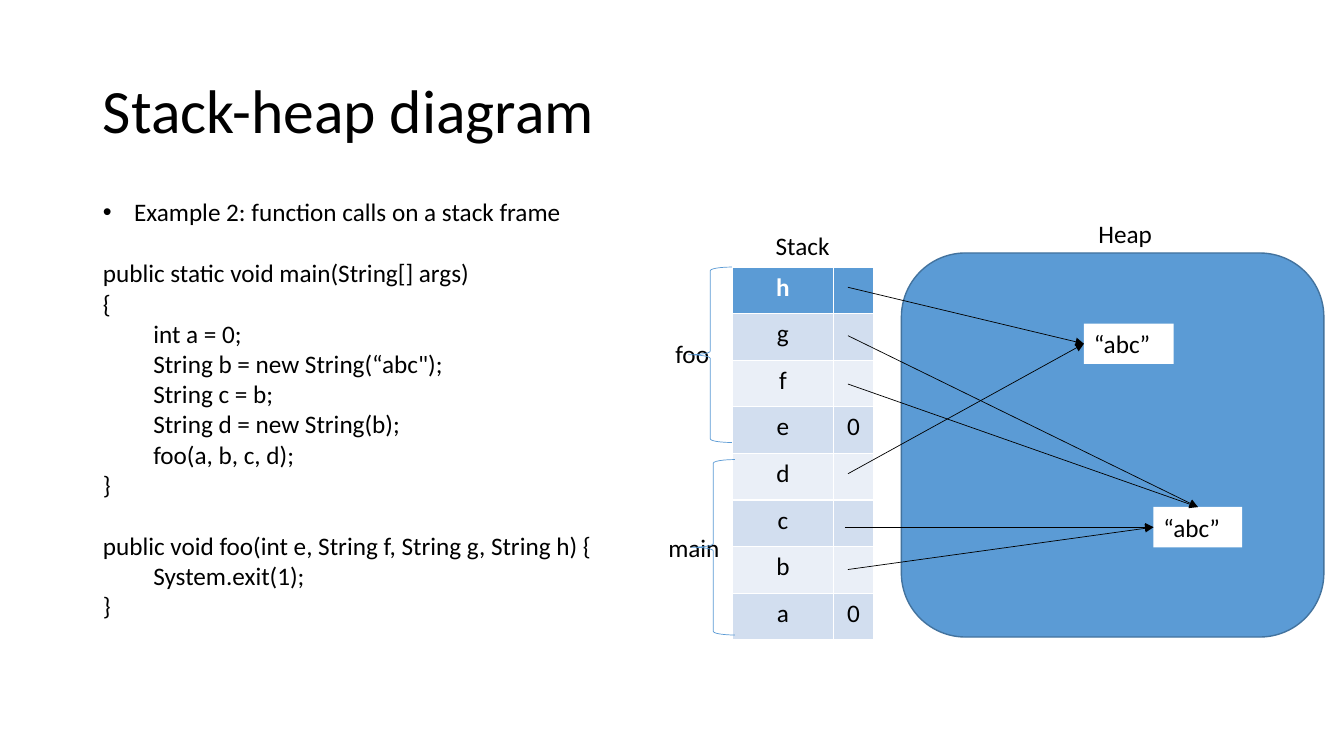
import pptx
import pptx.util
import pptx.dml.color
import pptx.enum.shapes
import pptx.enum.text
import pptx.oxml
import pptx.oxml.ns
from dataclasses import dataclass
from pptx.enum.shapes import MSO_CONNECTOR, MSO_SHAPE
from pptx.enum.text import MSO_ANCHOR, MSO_AUTO_SIZE, PP_ALIGN

TITLE = ("Stack-heap diagram", (0.92, 0.4, 11.5, 1.45))
BODY_BOX = (0.92, 1.9, 5.54, 4.34)
BULLET = "Example 2: function calls on a stack frame"
CODE_BLOCKS = [
    [
        (0, "public static void main(String[] args)"),
        (0, "{"),
        (1, "int a = 0;"),
        (1, "String b = new String(“abc\");"),
        (1, "String c = b;"),
        (1, "String d = new String(b);"),
        (1, "foo(a, b, c, d);"),
        (0, "}"),
    ],
    [
        (0, "public void foo(int e, String f, String g, String h) {"),
        (1, "System.exit(1);"),
        (0, "}"),
    ],
]
STACK = [("h", ""), ("g", ""), ("f", ""), ("e", "0"),
         ("d", ""), ("c", ""), ("b", ""), ("a", "0")]
STACK_BOX = (7.26, 2.65, 1.4, 3.7)
STACK_COLUMNS = (1.01, 0.39)
HEAP_BOX = (8.94, 2.51, 4.19, 3.81)
LABELS = [
    ("foo", (6.6, 3.31, 0.86, 0.4), PP_ALIGN.LEFT),
    ("main", (6.53, 5.23, 1, 0.4), PP_ALIGN.LEFT),
    ("Stack", (6.44, 2.24, 3.04, 0.4), PP_ALIGN.CENTER),
    ("Heap", (9.64, 2.12, 3.04, 0.4), PP_ALIGN.CENTER),
]
STRINGS = {
    "upper": ("“abc”", (10.75, 3.21, 0.89, 0.4)),
    "lower": ("“abc”", (11.44, 5.03, 0.88, 0.4)),
}
TOP, LEFT = 0, 1
REFERENCES = [
    ((8.41, 5.65), "lower", LEFT),
    ((8.38, 5.23), "lower", LEFT),
    ((8.41, 4.7), "upper", LEFT),
    ((8.41, 2.85), "upper", LEFT),
    ((8.41, 3.33), "lower", TOP),
    ((8.41, 3.81), "lower", TOP),
]
FRAME_BRACES = [(6.83, 2.65, 0.43, 1.74), (6.86, 4.56, 0.43, 1.74)]


@dataclass(frozen=True)
class Theme:
    font: str = "Calibri"
    title_size: float = 44
    text_size: float = 18
    line_pitch: float = 22
    thin: float = 0.5
    outline: float = 1
    black: str = "000000"
    white: str = "FFFFFF"
    blue: str = "5B9BD5"
    dark_blue: str = "43739E"
    bands: tuple = ("EAEFF7", "D2DEEF")


THEME = Theme()


def color(value):
    return pptx.dml.color.RGBColor.from_string(value)


def inches(values):
    return [pptx.util.Inches(value) for value in values]


def place(shape, box):
    shape.left, shape.top, shape.width, shape.height = inches(box)


def add_text(paragraph, text, size=THEME.text_size, ink=THEME.black, bold=False):
    run = paragraph.add_run()
    run.text = text
    run.font.name = THEME.font
    run.font.size = pptx.util.Pt(size)
    run.font.bold = bold
    run.font.color.rgb = color(ink)


def add_label(shapes, text, box, alignment):
    frame = shapes.add_textbox(*inches(box)).text_frame
    frame.word_wrap = True
    frame.auto_size = MSO_AUTO_SIZE.SHAPE_TO_FIT_TEXT
    frame.paragraphs[0].alignment = alignment
    add_text(frame.paragraphs[0], text)


def add_preset(shapes, kind, box, fill=None, line=None, width=0):
    shape = shapes.add_shape(kind, *inches(box))
    shape.shadow.inherit = False
    for part, value in ((shape.fill, fill), (shape.line.fill, line)):
        if value:
            part.solid()
            part.fore_color.rgb = color(value)
        else:
            part.background()
    if line:
        shape.line.width = pptx.util.Pt(width)
    return shape


def format_paragraph(paragraph, margin, indent, bullet, gap=0):
    paragraph.space_before = pptx.util.Pt(gap)
    paragraph.space_after = pptx.util.Pt(0)
    paragraph.line_spacing = 1.0
    paragraph.alignment = PP_ALIGN.LEFT
    properties = paragraph._p.get_or_add_pPr()
    properties.set("marL", str(pptx.util.Inches(margin)))
    properties.set("indent", str(pptx.util.Inches(indent)))
    tag = "a:buChar" if bullet else "a:buNone"
    mark = pptx.oxml.parse_xml(f"<{tag} {pptx.oxml.ns.nsdecls('a')}/>")
    if bullet:
        mark.set("char", bullet)
    properties.append(mark)


def fill_title(title):
    text, box = TITLE
    place(title, box)
    frame = title.text_frame
    frame.vertical_anchor = MSO_ANCHOR.MIDDLE
    paragraph = frame.paragraphs[0]
    paragraph.alignment = PP_ALIGN.LEFT
    paragraph.line_spacing = 0.9
    add_text(paragraph, text, THEME.title_size)


def fill_body(body):
    place(body, BODY_BOX)
    frame = body.text_frame
    frame.auto_size = MSO_AUTO_SIZE.NONE
    paragraph = frame.paragraphs[0]
    format_paragraph(paragraph, 0.31, -0.31, "•")
    add_text(paragraph, BULLET)
    for block in CODE_BLOCKS:
        for index, (level, text) in enumerate(block):
            paragraph = frame.add_paragraph()
            paragraph.level = level
            gap = THEME.line_pitch if index == 0 else 0
            format_paragraph(paragraph, 0.5 * level, 0, None, gap)
            add_text(paragraph, text)


def add_stack(shapes):
    table = shapes.add_table(len(STACK), len(STACK_COLUMNS), *inches(STACK_BOX)).table
    for column, width in zip(table.columns, inches(STACK_COLUMNS)):
        column.width = width
    for row, values in enumerate(STACK):
        header = row == 0
        for column, text in enumerate(values):
            cell = table.cell(row, column)
            cell.fill.solid()
            cell.fill.fore_color.rgb = color(THEME.blue if header else THEME.bands[row % 2])
            if text:
                paragraph = cell.text_frame.paragraphs[0]
                paragraph.alignment = PP_ALIGN.CENTER
                add_text(paragraph, text, ink=THEME.white if header else THEME.black, bold=header)


def add_string(shapes, text, box):
    shape = add_preset(shapes, MSO_SHAPE.RECTANGLE, box, fill=THEME.white)
    paragraph = shape.text_frame.paragraphs[0]
    paragraph.alignment = PP_ALIGN.LEFT
    add_text(paragraph, text)
    return shape


def add_reference(shapes, start, target, side):
    x, y = inches(start)
    arrow = shapes.add_connector(MSO_CONNECTOR.STRAIGHT, x, y, x, y)
    arrow.end_connect(target, side)
    arrow.line.width = pptx.util.Pt(THEME.thin)
    arrow.line.color.rgb = color(THEME.black)
    namespace = pptx.oxml.ns.nsdecls("a")
    arrow.line._get_or_add_ln().append(
        pptx.oxml.parse_xml(f'<a:tailEnd {namespace} type="triangle"/>'))
    arrow._element.spPr.append(pptx.oxml.parse_xml(f"<a:effectLst {namespace}/>"))


def main():
    presentation = pptx.Presentation()
    presentation.slide_width, presentation.slide_height = inches((13.33, 7.5))
    slide = presentation.slides.add_slide(presentation.slide_layouts[1])
    shapes = slide.shapes
    fill_title(shapes.title)
    fill_body(slide.placeholders[1])
    add_stack(shapes)
    add_preset(shapes, MSO_SHAPE.ROUNDED_RECTANGLE, HEAP_BOX,
               THEME.blue, THEME.dark_blue, THEME.outline)
    for label in LABELS:
        add_label(shapes, *label)
    strings = {name: add_string(shapes, *item) for name, item in STRINGS.items()}
    for start, name, side in REFERENCES:
        add_reference(shapes, start, strings[name], side)
    for box in FRAME_BRACES:
        add_preset(shapes, MSO_SHAPE.LEFT_BRACE, box, line=THEME.blue, width=THEME.thin)
    presentation.save("out.pptx")


if __name__ == "__main__":
    main()
